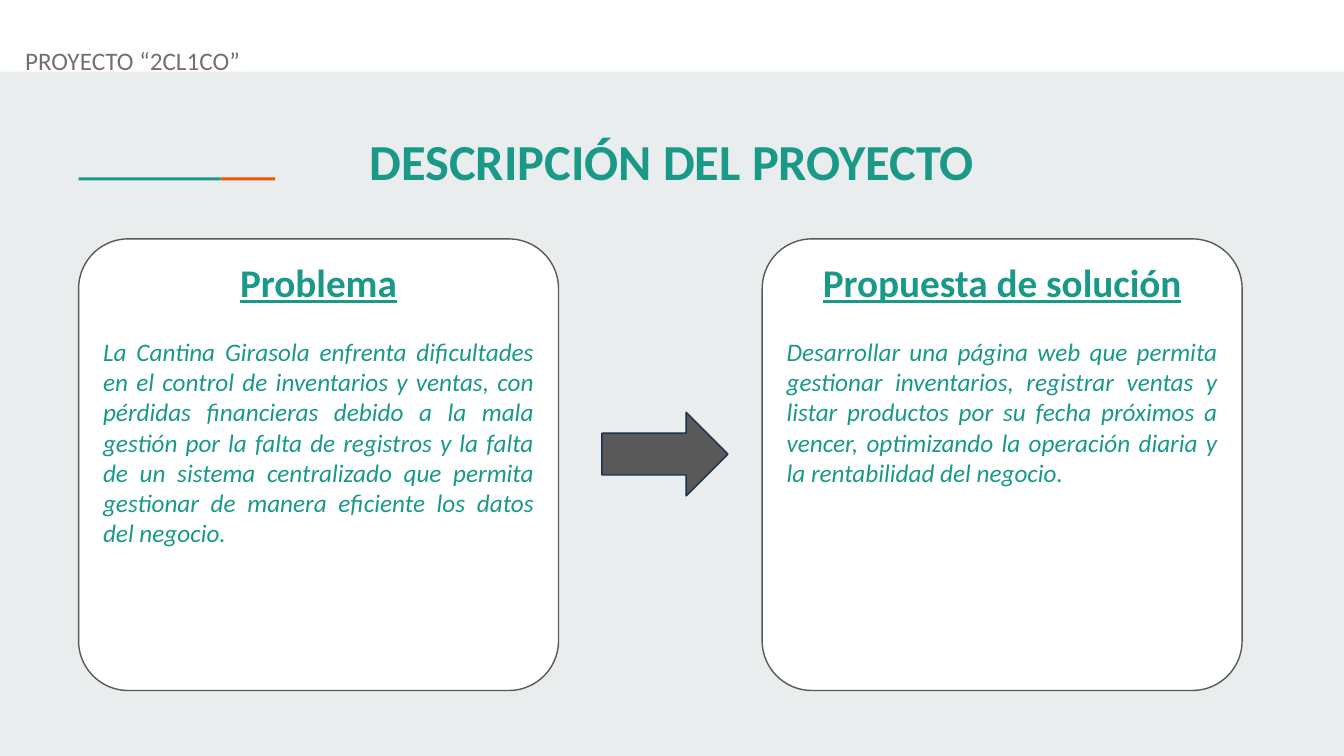
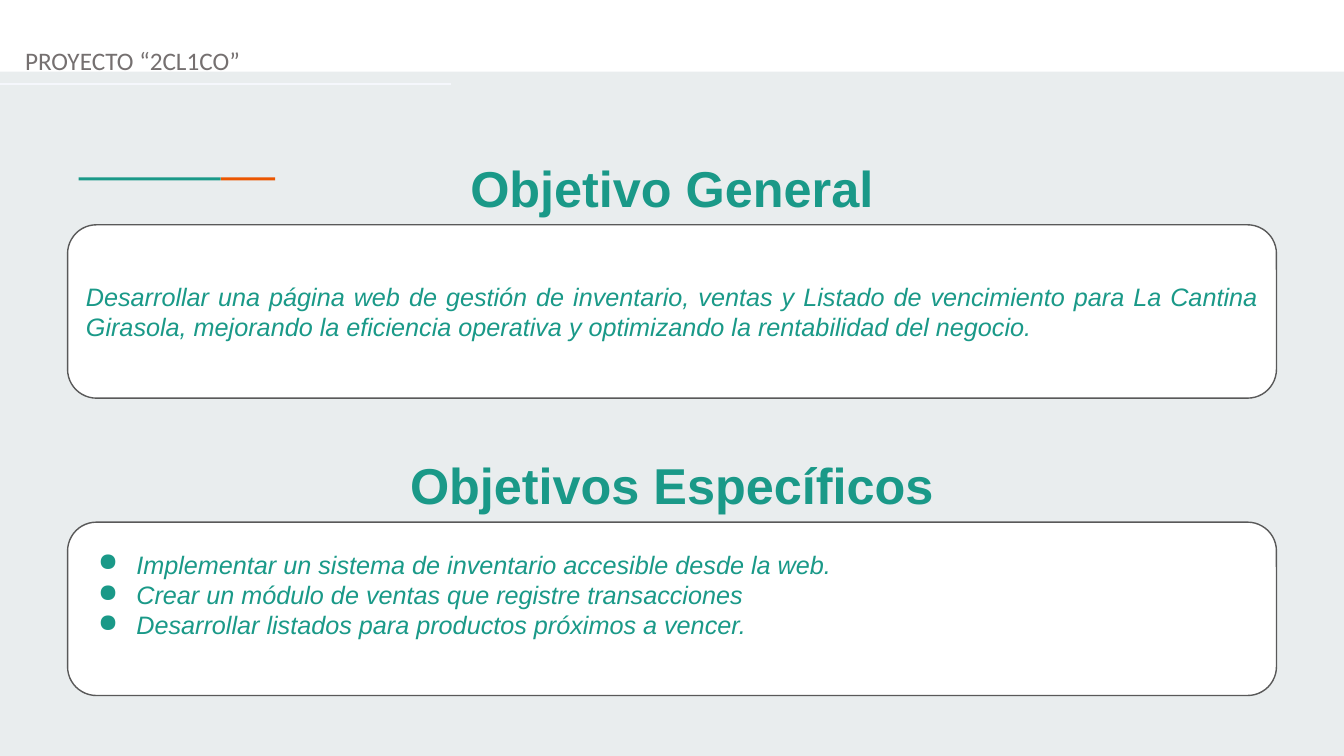
"""Build two slides that describe a project and its objectives."""
from lxml.etree import SubElement
from pptx import Presentation
from pptx.dml.color import RGBColor as RGB
from pptx.enum.shapes import MSO_CONNECTOR as LINK, MSO_SHAPE as SHAPE
from pptx.enum.text import MSO_ANCHOR as ANCHOR, PP_ALIGN as ALIGN
from pptx.oxml.ns import qn
from pptx.util import Inches, Pt

HUES = {
    "back": "E9EDEE", "white": "FFFFFF", "teal": "1A9988", "orange": "EB5600",
    "gray": "757070", "dark": "595959", "navy": "1C3052", "pale": "F5F7FC",
}
HUES = {name: RGB.from_string(code) for name, code in HUES.items()}


def draw(slide, kind, box, fill, line=None):
    shape = slide.shapes.add_shape(kind, *map(Inches, box))
    shape.shadow.inherit = False
    shape.fill.solid()
    shape.fill.fore_color.rgb = HUES[fill]
    if line:
        shape.line.color.rgb = HUES[line]
        shape.line.width = Pt(1)
    else:
        shape.line.fill.background()
    return shape


def write(frame, text, size, face, hue="teal", align=ALIGN.CENTER, more=False, **style):
    frame.word_wrap = True
    para = frame.add_paragraph() if more else frame.paragraphs[0]
    para.text = text
    para.alignment = align
    font = para.font
    font.size, font.name, font.color.rgb = Pt(size), face, HUES[hue]
    for key, value in style.items():
        setattr(font, key, value)
    return para


prs = Presentation()
prs.slide_width, prs.slide_height = Inches(13.33), Inches(7.5)

titles = [
    [("DESCRIPCIÓN DEL PROYECTO", 1.24, "Calibri")],
    [("Objetivo General", 1.51, "Arial"), ("Objetivos Específicos", 4.46, "Arial")],
]
slides = []
for heads in titles:
    slide = prs.slides.add_slide(prs.slide_layouts[6])
    slides.append(slide)
    slide.background.fill.solid()
    slide.background.fill.fore_color.rgb = HUES["back"]
    draw(slide, SHAPE.RECTANGLE, (0, 0, 13.33, 0.71), "white")
    draw(slide, SHAPE.RECTANGLE, (2.19, 1.76, 0.54, 0.03), "orange")
    draw(slide, SHAPE.RECTANGLE, (0.78, 1.76, 1.41, 0.03), "teal")
    label = slide.shapes.add_textbox(*map(Inches, (0.15, 0.4, 13.18, 0.4)))
    write(label.text_frame, "PROYECTO “2CL1CO”", 18, "Calibri", "gray", ALIGN.LEFT)
    for text, top, face in heads:
        title = slide.shapes.add_textbox(*map(Inches, (0, top, 13.33, 0.71)))
        write(title.text_frame, text, 36, face, bold=True)

about, goals = slides

cards = [
    (0.78, "Problema",
     "La Cantina Girasola enfrenta dificultades en el control de inventarios y ventas, "
     "con pérdidas financieras debido a la mala gestión por la falta de registros y la "
     "falta de un sistema centralizado que permita gestionar de manera eficiente los "
     "datos del negocio."),
    (7.56, "Propuesta de solución",
     "Desarrollar una página web que permita gestionar inventarios, registrar ventas y "
     "listar productos por su fecha próximos a vencer, optimizando la operación diaria y "
     "la rentabilidad del negocio."),
]
for left, head, body in cards:
    card = draw(about, SHAPE.ROUNDED_RECTANGLE, (left, 2.37, 4.76, 4.48), "white", "dark")
    card.adjustments[0] = 0.11
    frame = card.text_frame
    frame.vertical_anchor = ANCHOR.TOP
    para = write(frame, head, 28, "Calibri", bold=True, underline=True)
    para.space_after = Pt(22)
    write(frame, body, 18, "Calibri", align=ALIGN.JUSTIFY, more=True, italic=True)
draw(about, SHAPE.RIGHT_ARROW, (5.97, 4.09, 1.25, 0.83), "dark", "navy")

rule = goals.shapes.add_connector(LINK.STRAIGHT, 0, Inches(0.83), Inches(4.47), Inches(0.83))
rule.line.color.rgb = HUES["pale"]
rule.line.width = Pt(1.25)
SubElement(rule.element.spPr, qn("a:effectLst"))

panels = [
    (2.23, False, [
        "Desarrollar una página web de gestión de inventario, ventas y Listado de "
        "vencimiento para La Cantina Girasola, mejorando la eficiencia operativa y "
        "optimizando la rentabilidad del negocio."]),
    (5.18, True, [
        "Implementar un sistema de inventario accesible desde la web.",
        "Crear un módulo de ventas que registre transacciones",
        "Desarrollar listados para productos próximos a vencer."]),
]
for top, listed, lines in panels:
    panel = draw(goals, SHAPE.ROUNDED_RECTANGLE, (0.67, top, 11.99, 1.72), "white", "dark")
    frame = panel.text_frame
    frame.vertical_anchor = ANCHOR.MIDDLE
    if listed:
        frame.margin_bottom = Inches(0.34)
    for row, text in enumerate(lines):
        para = write(frame, text, 18, "Arial", align=ALIGN.JUSTIFY, more=row > 0, italic=True)
        if listed:
            props = para._p.get_or_add_pPr()
            props.set("marL", str(Inches(0.5)))
            props.set("indent", str(Inches(-0.38)))
            mark = SubElement(props, qn("a:buChar"), char="●")
            props.remove(mark)
            props.insert(0, mark)

prs.save("out.pptx")
